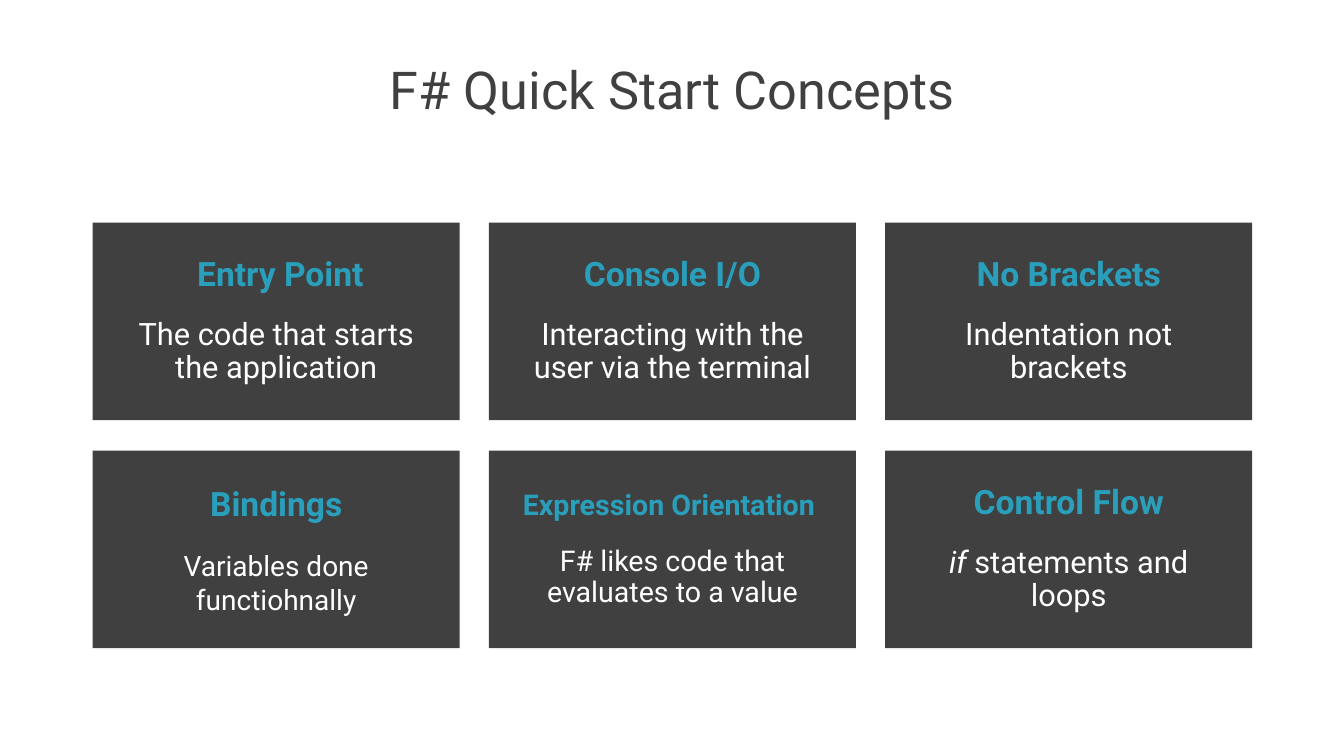
from dataclasses import dataclass

from pptx import Presentation
from pptx.dml.color import RGBColor
from pptx.enum.shapes import MSO_SHAPE
from pptx.enum.text import MSO_ANCHOR, PP_ALIGN
from pptx.util import Inches, Pt

CHARCOAL = RGBColor(0x40, 0x40, 0x40)
TEAL = RGBColor(0x2A, 0x9F, 0xBC)
WHITE = RGBColor(0xFF, 0xFF, 0xFF)


@dataclass
class Concept:
    heading: str
    body: tuple
    heading_size: float = 24
    body_size: float = 22
    line_spacing: float = 0.9


CONCEPTS = [
    Concept(" Entry Point", ("The code that starts the application",)),
    Concept("Console I/O", ("Interacting with the user via the terminal",)),
    Concept("No Brackets", ("Indentation not brackets",)),
    Concept("Bindings", ("Variables done functiohnally",), body_size=20, line_spacing=1.0),
    Concept("Expression Orientation ", ("F# likes code that evaluates to a value",), 20.4, 20.4),
    Concept("Control Flow", ("if", " statements and loops")),
]


class ConceptSlide:
    font = "Roboto"
    columns = 3
    left, top = 0.92, 2.21
    card_width, card_height = 3.64, 1.96
    column_step, row_step = 3.93, 2.26
    padding = Inches(0.3)

    def __init__(self, presentation):
        self.slide = presentation.slides.add_slide(presentation.slide_layouts[6])

    def style_runs(self, paragraph, size, color, bold=False):
        paragraph.alignment = PP_ALIGN.CENTER
        for run in paragraph.runs:
            run.font.name = self.font
            run.font.size = Pt(size)
            run.font.color.rgb = color
            run.font.bold = bold

    def title(self, text):
        width = 2 * self.column_step + self.card_width
        box = self.slide.shapes.add_textbox(
            Inches(self.left), Inches(0.62), Inches(width), Inches(0.59))
        text_frame = box.text_frame
        text_frame.word_wrap = True
        text_frame.vertical_anchor = MSO_ANCHOR.MIDDLE
        text_frame.text = text
        paragraph = text_frame.paragraphs[0]
        paragraph.line_spacing = 0.9
        self.style_runs(paragraph, 37.3, CHARCOAL)

    def card(self, index, concept):
        row, column = divmod(index, self.columns)
        shape = self.slide.shapes.add_shape(
            MSO_SHAPE.RECTANGLE,
            Inches(self.left + column * self.column_step),
            Inches(self.top + row * self.row_step),
            Inches(self.card_width), Inches(self.card_height))
        shape.shadow.inherit = False
        shape.fill.solid()
        shape.fill.fore_color.rgb = CHARCOAL
        shape.line.fill.background()

        text_frame = shape.text_frame
        text_frame.word_wrap = True
        text_frame.vertical_anchor = MSO_ANCHOR.MIDDLE
        text_frame.margin_left = text_frame.margin_right = self.padding
        text_frame.margin_top = text_frame.margin_bottom = self.padding
        text_frame.text = concept.heading
        heading = text_frame.paragraphs[0]
        body = text_frame.add_paragraph()
        for part in concept.body:
            body.add_run().text = part
        heading.line_spacing = body.line_spacing = concept.line_spacing
        body.space_before = Pt(18)
        self.style_runs(heading, concept.heading_size, TEAL, bold=True)
        self.style_runs(body, concept.body_size, WHITE)
        for run in body.runs:
            run.font.italic = run.text == "if"


def main():
    presentation = Presentation()
    presentation.slide_width = Inches(13.33)
    presentation.slide_height = Inches(7.5)
    concept_slide = ConceptSlide(presentation)
    concept_slide.title("F# Quick Start Concepts")
    for index, concept in enumerate(CONCEPTS):
        concept_slide.card(index, concept)
    presentation.save("out.pptx")


if __name__ == "__main__":
    main()
